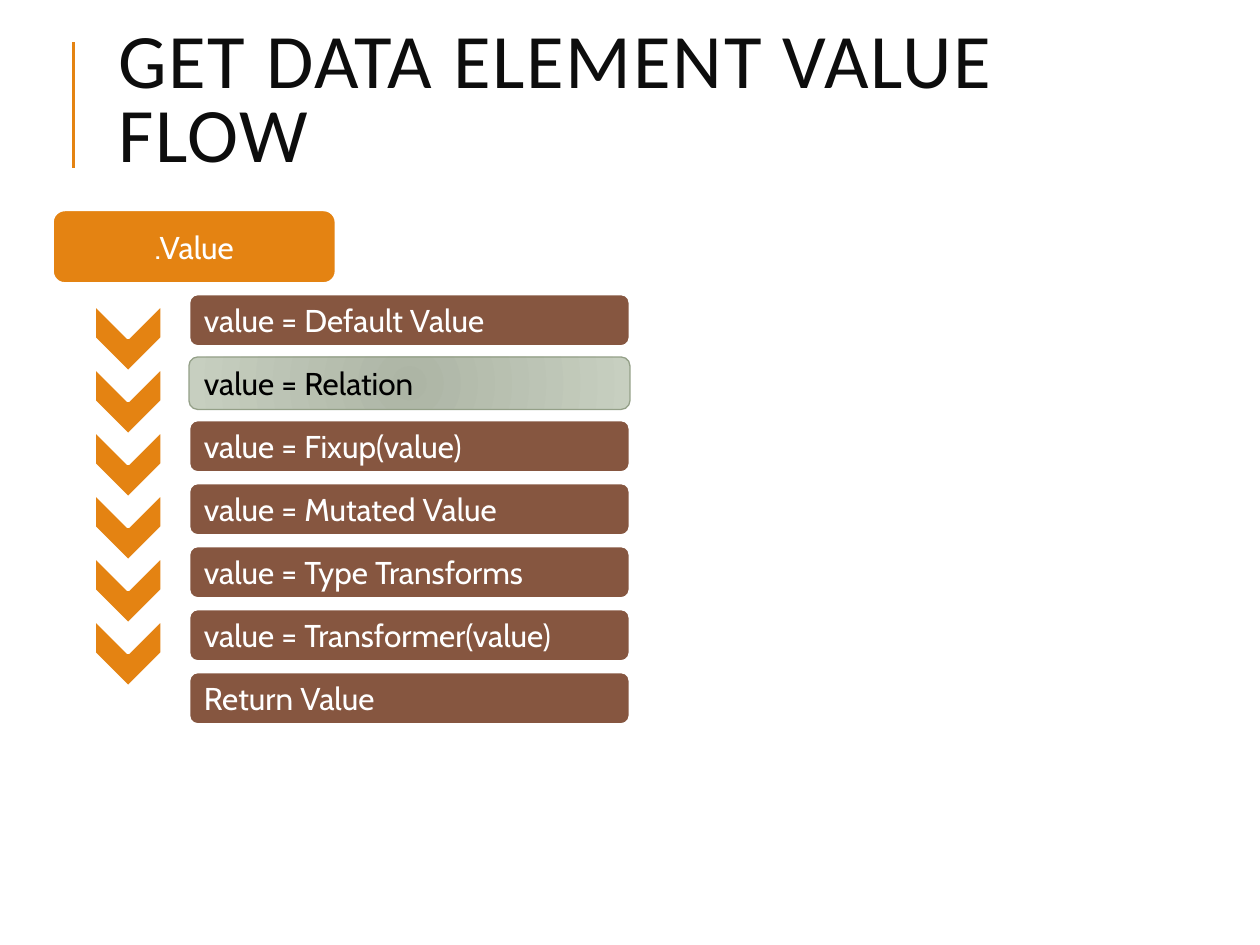
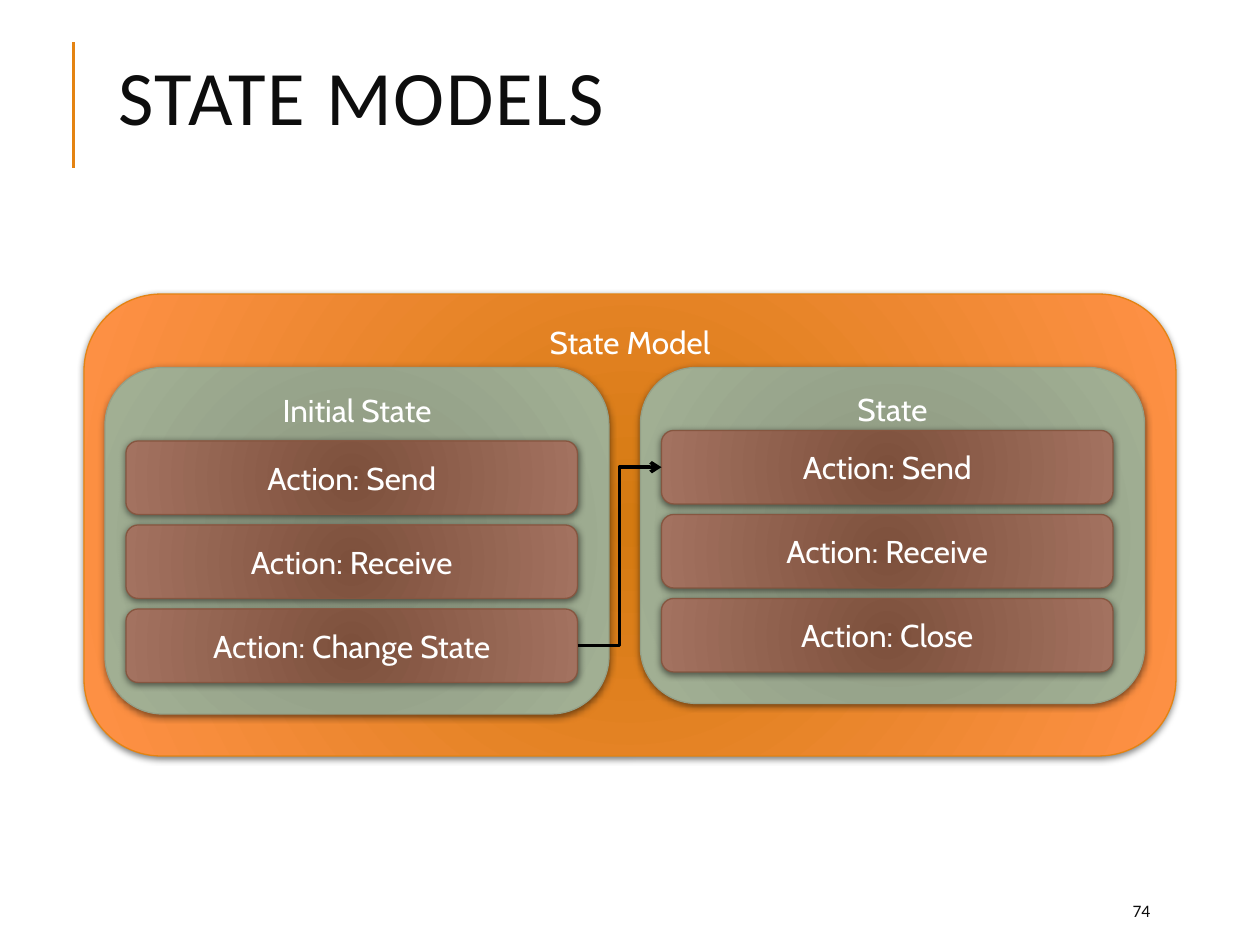
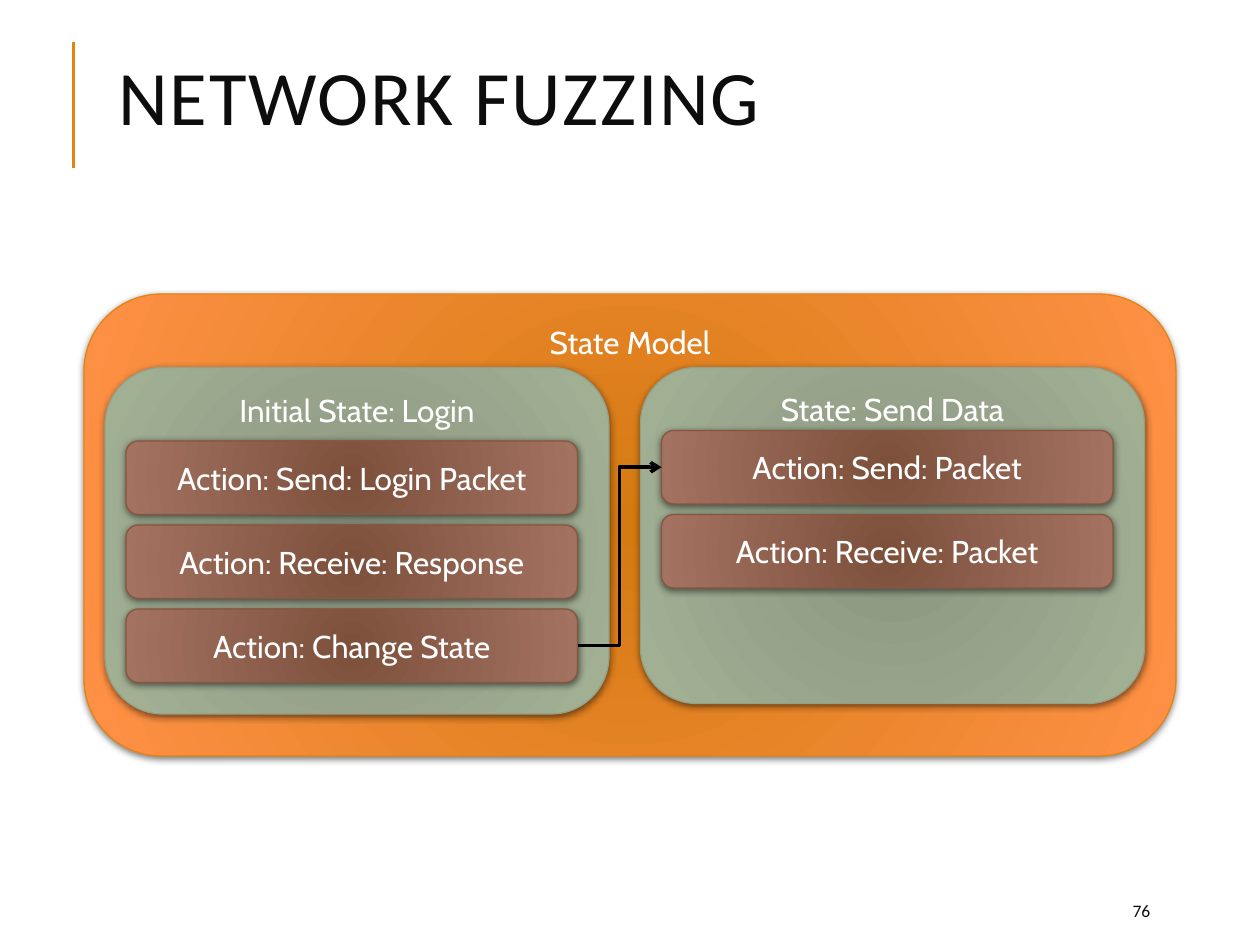
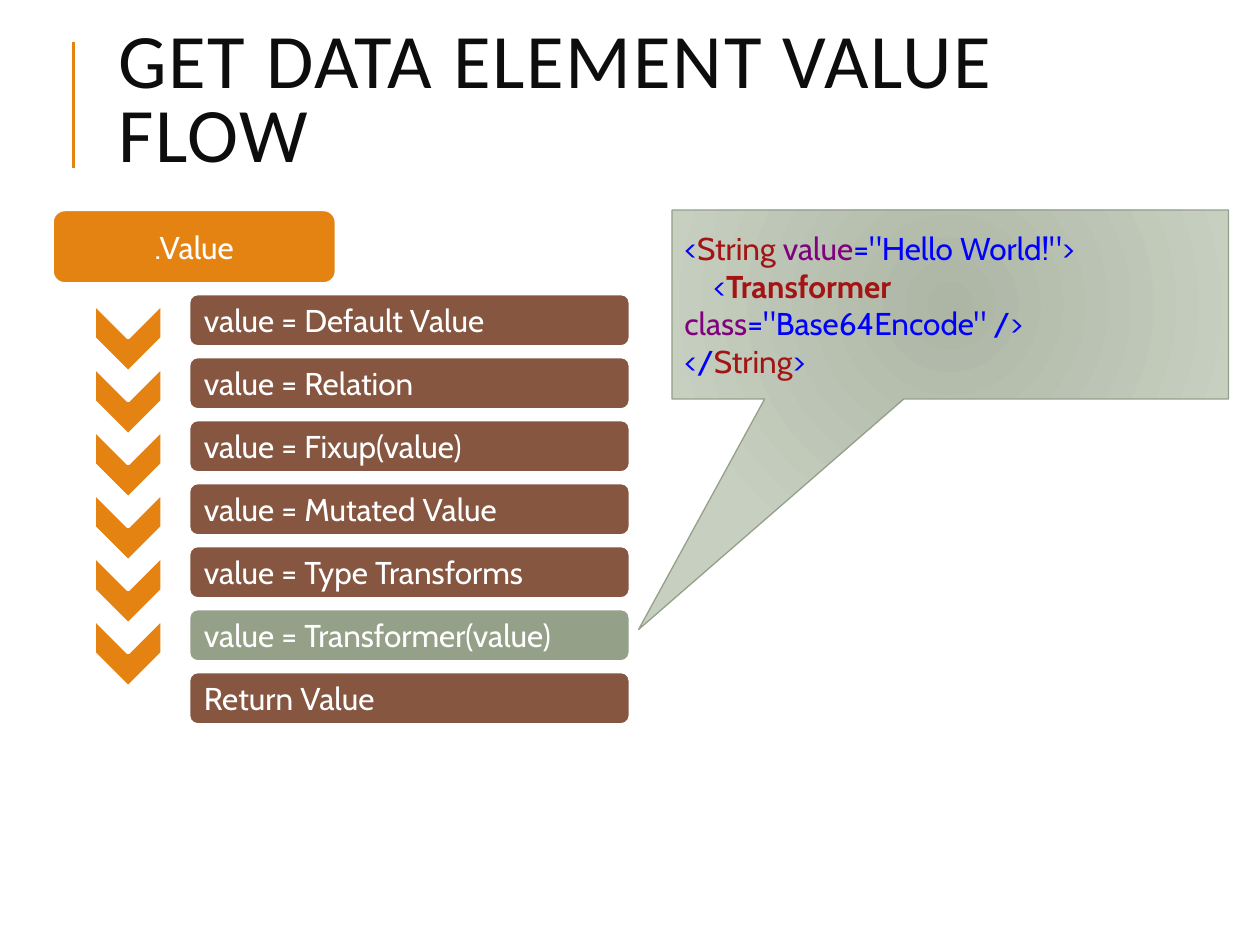
from lxml import etree
from pptx import Presentation
from pptx import util as u
from pptx.dml.color import RGBColor
from pptx.enum import shapes, text
from pptx.oxml import ns, parse_xml

ORANGE = RGBColor(0xE4, 0x83, 0x12)
ORANGE_DEEP = RGBColor(0xD4, 0x7A, 0x11)
ORANGE_LIGHT = RGBColor(0xFF, 0x91, 0x46)
BROWN = RGBColor(0x86, 0x56, 0x40)
BROWN_DEEP = RGBColor(0x7D, 0x50, 0x3C)
BROWN_LIGHT = RGBColor(0xA3, 0x72, 0x60)
SAGE = RGBColor(0x94, 0xA0, 0x88)
SAGE_DEEP = RGBColor(0x8A, 0x95, 0x7F)
SAGE_LIGHT = RGBColor(0xA3, 0xB1, 0x95)
MIST_DEEP = RGBColor(0xAD, 0xB5, 0xA5)
MIST_LIGHT = RGBColor(0xC7, 0xCF, 0xC0)
WHITE = RGBColor(0xFF, 0xFF, 0xFF)
BLACK = RGBColor(0, 0, 0)
INK = RGBColor(0x0D, 0x0D, 0x0D)
CODE_BLUE = RGBColor(0, 0, 0xFF)
CODE_RED = RGBColor(0xA3, 0x15, 0x15)
CODE_PURPLE = RGBColor(0x80, 0, 0x80)

TITLE_FONT, BODY_FONT = "Calibri", "Cabin"
LEFT, CENTER = text.PP_ALIGN.LEFT, text.PP_ALIGN.CENTER
TOP, MIDDLE = text.MSO_ANCHOR.TOP, text.MSO_ANCHOR.MIDDLE
KIND = shapes.MSO_SHAPE

LOOKS = {
    "step": dict(fill=[BROWN], line=WHITE, width=1.5),
    "entry": dict(fill=[ORANGE], line=WHITE, width=1.5),
    "marked": dict(fill=[SAGE], line=WHITE, width=1.5),
    "pale": dict(fill=[MIST_DEEP, MIST_LIGHT], line=SAGE, width=0.75, ink=BLACK),
    "model": dict(fill=[ORANGE_DEEP, ORANGE_LIGHT], line=ORANGE, width=0.75, shadow=True),
    "state": dict(fill=[SAGE_DEEP, SAGE_LIGHT], line=SAGE, width=0.75, shadow=True),
    "action": dict(fill=[BROWN_DEEP, BROWN_LIGHT], line=BROWN, width=0.75, shadow=True),
}

FLOW_TITLE = "GET DATA ELEMENT VALUE FLOW"
STEPS = ["value = Default Value", "value = Relation", "value = Fixup(value)",
         "value = Mutated Value", "value = Type Transforms",
         "value = Transformer(value)", "Return Value"]
CODE = [
    (0, [("<", CODE_BLUE, False), ("String ", CODE_RED, False),
         ("value", CODE_PURPLE, False), ('="Hello World!">', CODE_BLUE, False)]),
    (0.23, [("<", CODE_BLUE, False), ("Transformer ", CODE_RED, True),
            ("class", CODE_PURPLE, False), ('="Base64Encode" />', CODE_BLUE, False)]),
    (0, [("</", CODE_BLUE, False), ("String", CODE_RED, False), (">", CODE_BLUE, False)]),
]
PAGES = [
    dict(title=FLOW_TITLE, special={1: "pale"}),
    dict(title="STATE MODELS", number="74", states=[
        ("Initial State", ["Action: Send", "Action: Receive", "Action: Change State"]),
        ("State", ["Action: Send", "Action: Receive", "Action: Close"])]),
    dict(title="NETWORK FUZZING", number="76", states=[
        ("Initial State: Login", ["Action: Send: Login Packet", "Action: Receive: Response",
                                  "Action: Change State"]),
        ("State: Send Data", ["Action: Send: Packet", "Action: Receive: Packet"])]),
    dict(title=FLOW_TITLE, special={5: "marked"}, code=CODE),
]

STATE_COLUMNS = [dict(left=10, height=33, first=42), dict(left=61, height=32, first=41)]


def grid(cells):
    return u.Inches(cells / 12)


def apply(target, values):
    for name, value in values.items():
        setattr(target, name, value)


def add_node(parent, tag, **attributes):
    return etree.SubElement(parent, ns.qn(tag), attributes)


def write(para, words, size, font, color, bold=False):
    span = para.add_run()
    span.text = words
    apply(span.font, dict(size=u.Pt(size), name=font, bold=bold))
    span.font.color.rgb = color


def paint(box, colors):
    if len(colors) == 1:
        box.fill.solid()
        box.fill.fore_color.rgb = colors[0]
        return
    box.fill.gradient()
    for stop, color, position in zip(box.fill.gradient_stops, colors, (0, 1)):
        stop.color.rgb = color
        stop.position = position
    gradient = box.element.spPr.find(ns.qn("a:gradFill"))
    gradient.remove(gradient.find(ns.qn("a:lin")))
    circle = parse_xml(f'<a:path {ns.nsdecls("a")} path="circle"><a:fillToRect '
                       'l="100000" t="100000" r="100000" b="100000"/></a:path>')
    gradient.find(ns.qn("a:gsLst")).addnext(circle)


def add_box(page, cells, look, words="", kind=KIND.ROUNDED_RECTANGLE, align=CENTER, anchor=MIDDLE):
    style = LOOKS[look]
    box = page.shapes.add_shape(kind, *map(grid, cells))
    paint(box, style["fill"])
    box.line.color.rgb = style["line"]
    box.line.width = u.Pt(style["width"])
    box.shadow.inherit = False
    if style.get("shadow"):
        effects = box.element.spPr.find(ns.qn("a:effectLst"))
        shade = add_node(effects, "a:outerShdw", blurRad="50800", dist="12700",
                         dir="5400000", algn="ctr", rotWithShape="0")
        add_node(add_node(shade, "a:srgbClr", val="000000"), "a:alpha", val="50000")
    apply(box.text_frame, dict(vertical_anchor=anchor, word_wrap=True))
    if words:
        para = box.text_frame.paragraphs[0]
        para.alignment = align
        write(para, words, 18, BODY_FONT, style.get("ink", WHITE))
    return box


def add_line(page, kind, ends, color, width):
    line = page.shapes.add_connector(kind, *ends)
    line.line.color.rgb = color
    line.line.width = u.Pt(width)
    add_node(line.element.spPr, "a:effectLst")
    return line


def style_layout(layout, page):
    title = layout.placeholders[0]
    apply(title, dict(left=u.Inches(0.84), top=0, width=u.Inches(7.97), height=u.Inches(1.64)))
    apply(title.text_frame, dict(vertical_anchor=MIDDLE, word_wrap=True,
                                 auto_size=text.MSO_AUTO_SIZE.NONE))
    styles = title.element.txBody.find(ns.qn("a:lstStyle"))
    for level in list(styles):
        styles.remove(level)
    styles.append(parse_xml(
        f'<a:lvl1pPr {ns.nsdecls("a")} algn="l"><a:lnSpc><a:spcPct val="80000"/></a:lnSpc>'
        f'<a:defRPr sz="4400" b="0" spc="100"><a:solidFill><a:srgbClr val="{INK}"/></a:solidFill>'
        f'<a:latin typeface="{TITLE_FONT}"/></a:defRPr></a:lvl1pPr>'))
    rail = add_line(page, shapes.MSO_CONNECTOR.STRAIGHT, map(grid, (7, 16, 7, 4)), ORANGE, 1.5)
    rail.element.nvCxnSpPr.cNvPr.id = 20
    layout.shapes.element.append(rail.element)


def draw_flow(page, special, code=()):
    add_box(page, (5, 20, 27, 7), "entry", ".Value")
    for row, words in enumerate(STEPS):
        add_box(page, (18, 28 + 6 * row, 42, 5), special.get(row, "step"), words, align=LEFT)
        if row < len(STEPS) - 1:
            arrow = add_box(page, (9, 29 + 6 * row, 6.4, 6.4), "entry", kind=KIND.CHEVRON)
            arrow.rotation = 90
    if code:
        draw_code(page, code)


def draw_code(page, code):
    callout = add_box(page, (64, 20, 53, 18), "pale", kind=KIND.RECTANGULAR_CALLOUT)
    callout.adjustments[0], callout.adjustments[1] = -0.56, 1.72
    frame = callout.text_frame
    for row, (indent, spans) in enumerate(code):
        para = frame.add_paragraph() if row else frame.paragraphs[0]
        para.alignment = LEFT
        if indent:
            para._p.get_or_add_pPr().set("indent", str(u.Inches(indent)))
        for words, color, bold in spans:
            write(para, words, 18, BODY_FONT, color, bold)


def draw_states(page, states):
    add_box(page, (8, 28, 104, 44), "model", "State Model", anchor=TOP)
    columns = []
    for column, (name, actions) in zip(STATE_COLUMNS, states):
        left = column["left"]
        add_box(page, (left, 35, 48, column["height"]), "state", name, anchor=TOP)
        columns.append([add_box(page, (left + 2, column["first"] + 8 * row, 43, 7), "action", words)
                        for row, words in enumerate(actions)])
    source, target = columns[0][-1], columns[1][0]
    ends = (source.left + source.width, source.top + source.height // 2,
            target.left, target.top + target.height // 2)
    change = add_line(page, shapes.MSO_CONNECTOR.ELBOW, ends, BLACK, 2)
    change.begin_connect(source, 3)
    change.end_connect(target, 1)
    add_node(change.line._get_or_add_ln(), "a:tailEnd", type="arrow")


def draw_number(page, number):
    box = page.shapes.add_textbox(*map(u.Inches, (8.89, 7.08, 0.8, 0.3)))
    apply(box.text_frame, dict(word_wrap=True, vertical_anchor=MIDDLE))
    write(box.text_frame.paragraphs[0], number, 10, TITLE_FONT, INK)


def main():
    deck = Presentation()
    apply(deck, dict(slide_width=grid(120), slide_height=grid(90)))
    layout = deck.slide_layouts.get_by_name("Title Only")
    for index, content in enumerate(PAGES):
        page = deck.slides.add_slide(layout)
        if index == 0:
            style_layout(layout, page)
        page.shapes.title.text = content["title"]
        if "number" in content:
            draw_number(page, content["number"])
        if "states" in content:
            draw_states(page, content["states"])
        else:
            draw_flow(page, content["special"], content.get("code", ()))
    deck.save("out.pptx")


if __name__ == "__main__":
    main()
